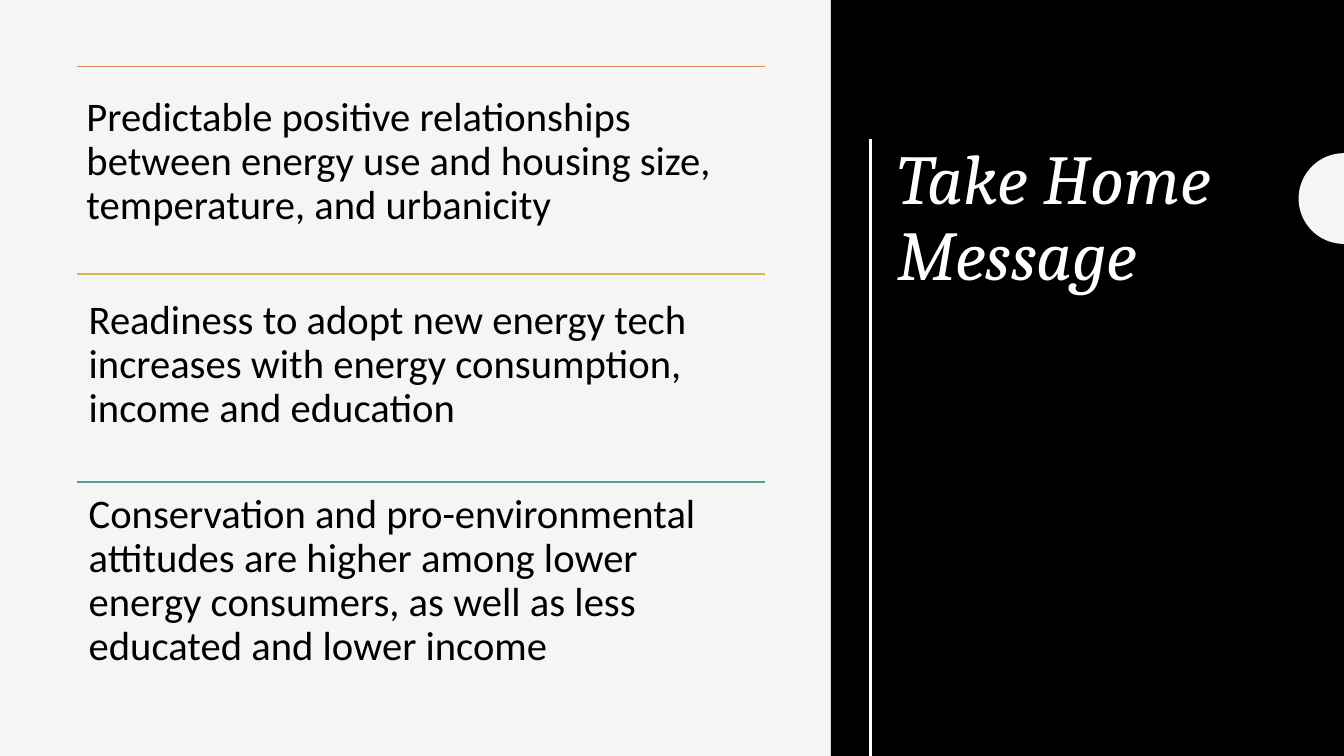
from math import cos, pi, sin

from lxml.etree import SubElement
from pptx import Presentation
from pptx.dml.color import RGBColor
from pptx.enum.shapes import MSO_CONNECTOR, MSO_SHAPE
from pptx.enum.text import MSO_ANCHOR
from pptx.oxml.ns import qn
from pptx.util import Inches, Pt

PALE = RGBColor(0xF5, 0xF5, 0xF5)
BLACK = RGBColor(0, 0, 0)
WHITE = RGBColor(0xFF, 0xFF, 0xFF)
ORANGE = RGBColor(0xE2, 0x8B, 0x55)
GOLD = RGBColor(0xDC, 0xB6, 0x4D)
TEAL = RGBColor(0x4C, 0xA1, 0x98)

WIDE, HIGH = 13.33, 7.5
LEFT, SPAN = 0.76, 6.83
TOP, STEP = 0.66, 2.06

# Rule colour, text top, text inset, message
POINTS = [
    (ORANGE, 0.91, (0.1, 0.05),
     "Predictable positive relationships between energy use and "
     "housing size, temperature, and urbanicity"),
    (GOLD, 2.85, (0.12, 0.12),
     "Readiness to adopt new energy tech increases with energy "
     "consumption, income and education"),
    (TEAL, 4.78, (0.12, 0.12),
     "Conservation and pro-environmental attitudes are higher among lower "
     "energy consumers, as well as less educated and lower income"),
]


def paint(shape, color):
    shape.fill.solid()
    shape.fill.fore_color.rgb = color
    shape.line.fill.background()
    shape.shadow.inherit = False


def add_panel(slide, x, y, w, h, color):
    panel = slide.shapes.add_shape(
        MSO_SHAPE.RECTANGLE, Inches(x), Inches(y), Inches(w), Inches(h))
    paint(panel, color)


def add_rule(slide, x1, y1, x2, y2, color, width):
    rule = slide.shapes.add_connector(
        MSO_CONNECTOR.STRAIGHT, Inches(x1), Inches(y1), Inches(x2), Inches(y2))
    rule.line.color.rgb = color
    rule.line.width = Pt(width)
    SubElement(rule._element.spPr, qn("a:effectLst"))


def add_text(slide, box, inset, text, font, size, color, italic=False):
    frame = slide.shapes.add_textbox(*map(Inches, box)).text_frame
    frame.word_wrap = True
    frame.vertical_anchor = MSO_ANCHOR.TOP
    frame.margin_left = frame.margin_right = Inches(inset[0])
    frame.margin_top = frame.margin_bottom = Inches(inset[1])
    para = frame.paragraphs[0]
    para.line_spacing = 0.9
    run = para.add_run()
    run.text = text
    run.font.name = font
    run.font.size = Pt(size)
    run.font.color.rgb = color
    run.font.italic = italic


def add_notch(slide, mid, radius, color):
    """Half disc that bites into the right edge."""
    steps = 48
    turns = [pi * (0.5 + i / steps) for i in range(steps + 1)]
    dots = [(Inches(WIDE + radius * cos(t)), Inches(mid - radius * sin(t)))
            for t in turns]
    draft = slide.shapes.build_freeform(*dots[0])
    draft.add_line_segments(dots[1:], close=True)
    paint(draft.convert_to_shape(), color)


def main():
    deck = Presentation()
    deck.slide_width, deck.slide_height = Inches(WIDE), Inches(HIGH)
    slide = deck.slides.add_slide(deck.slide_layouts[6])
    slide.background.fill.solid()
    slide.background.fill.fore_color.rgb = PALE

    # Title panel on the right
    add_panel(slide, 8.24, 0, WIDE - 8.24, HIGH, BLACK)
    add_text(slide, (8.8, 1.38, 3.83, 4.65), (0.1, 0.05),
             "Take Home Message", "Cambria", 50, WHITE, italic=True)
    add_rule(slide, 8.63, 1.38, 8.63, HIGH, WHITE, 2)
    add_notch(slide, 1.97, 0.45, PALE)

    # Messages, each under its own rule
    for i, (color, top, inset, text) in enumerate(POINTS):
        y = TOP + i * STEP
        add_rule(slide, LEFT, y, LEFT + SPAN, y, color, 1)
        add_text(slide, (LEFT, top, SPAN, STEP), inset,
                 text, "Calibri", 29, BLACK)

    deck.save("out.pptx")


main()
